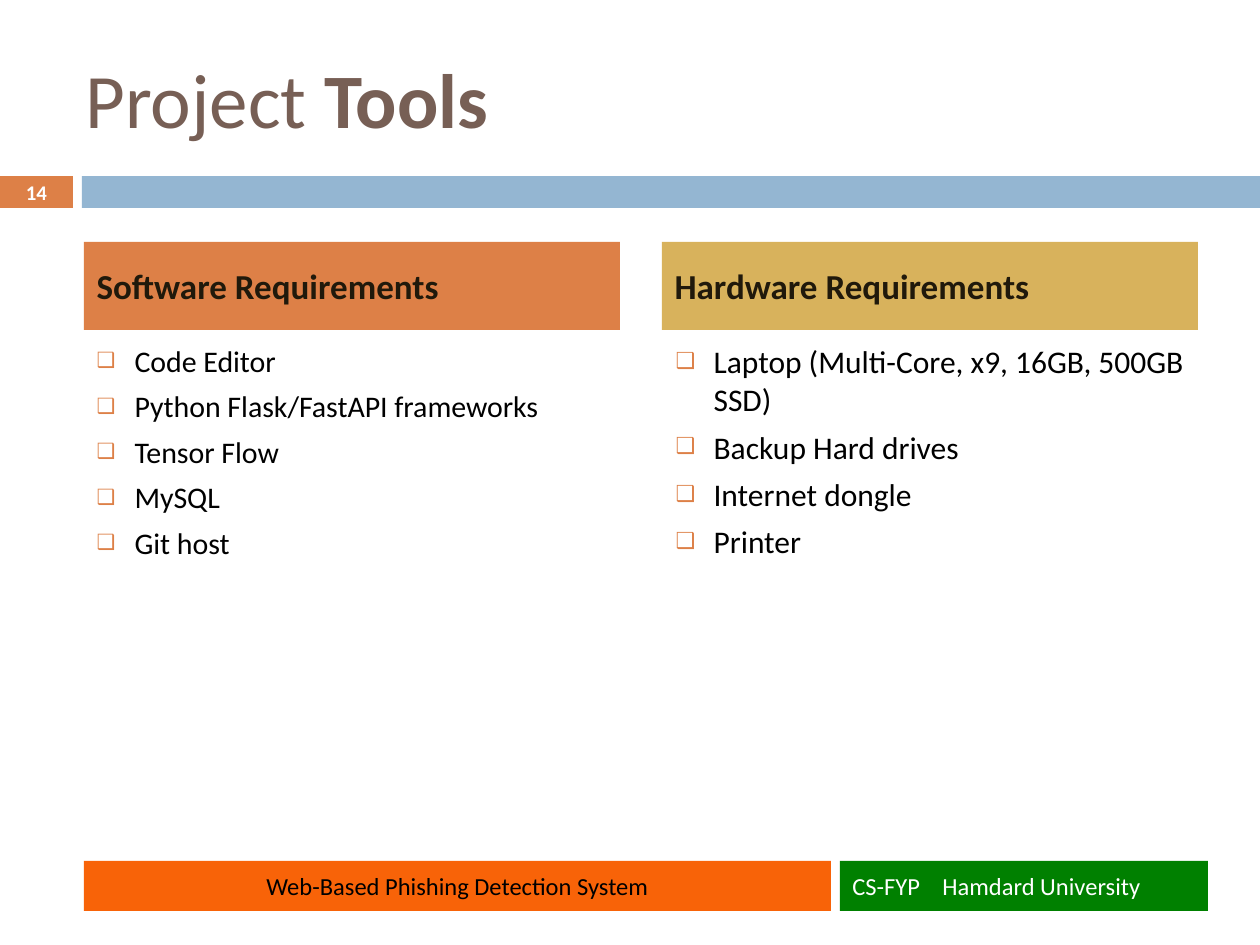
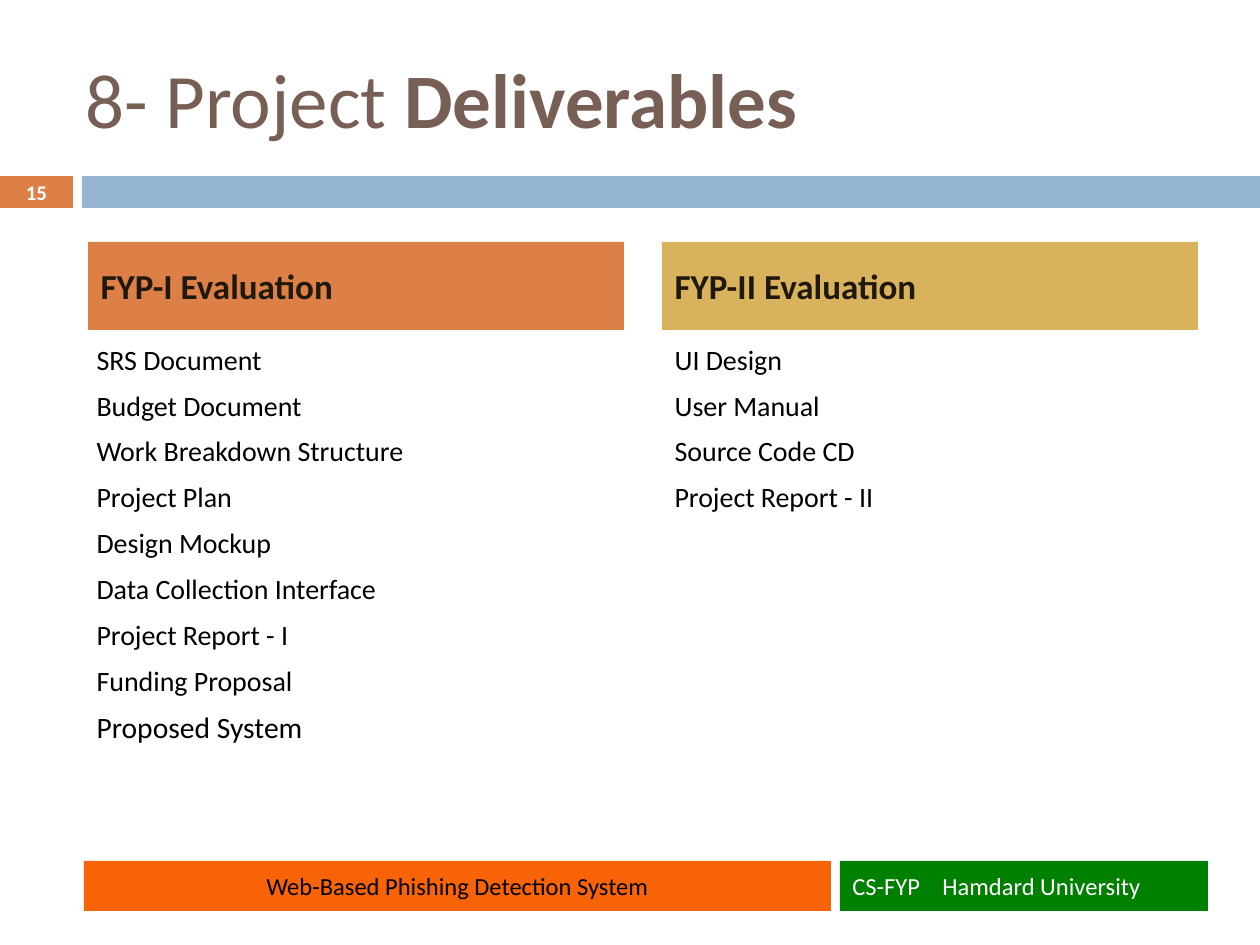
"""Build the project tools and project deliverables slides."""
from lxml import etree
from pptx import Presentation
from pptx.dml.color import RGBColor
from pptx.enum.shapes import MSO_SHAPE
from pptx.enum.text import MSO_ANCHOR, MSO_AUTO_SIZE, PP_ALIGN
from pptx.oxml.ns import qn
from pptx.util import Emu, Pt

RECT = MSO_SHAPE.RECTANGLE
TOP, MIDDLE = MSO_ANCHOR.TOP, MSO_ANCHOR.MIDDLE
LEFT, CENTER = PP_ALIGN.LEFT, PP_ALIGN.CENTER
NO_FIT = MSO_AUTO_SIZE.NONE
COMPARISON = 3 + 1
SCALE = 914400 / 126

COLORS = {
    "title": "775F55", "accent": "DD8047", "band": "94B6D2", "gold": "D8B25C",
    "heading": "20190B", "project": "F86308", "school": "008000",
    "black": "000000", "white": "FFFFFF",
}
COLUMN_W, COLUMN_X = 536, (84, 662)
HEADING_FILLS = ("accent", "gold")

SLIDES = [
    {
        "number": 14,
        "title": ("Project ", "Tools"),
        "heading_x": COLUMN_X,
        "columns": [
            ("Software Requirements", 17.1, 38,
             ["Code Editor", "Python Flask/FastAPI frameworks", "Tensor Flow",
              "MySQL", "Git host"]),
            ("Hardware Requirements", 18, 39,
             ["Laptop (Multi-Core, x9, 16GB, 500GB SSD)", "Backup Hard drives",
              "Internet dongle", "Printer"]),
        ],
    },
    {
        "number": 15,
        "title": ("8- Project ", "Deliverables"),
        "heading_x": (88, 662),
        "columns": [
            ("FYP-I Evaluation", 16, 0,
             ["SRS Document", "Budget Document", "Work Breakdown Structure",
              "Project Plan", "Design Mockup", "Data Collection Interface",
              "Project Report - I", "Funding Proposal",
              ("Proposed System", 16.9)]),
            ("FYP-II Evaluation", 16, 0,
             ["UI Design", "User Manual", "Source Code CD",
              "Project Report - II"]),
        ],
    },
]


def px(n):
    """Turn px into EMU."""
    return Emu(round(n * SCALE))


def rgb(name):
    """Look up a named colour."""
    return RGBColor.from_string(COLORS[name])


def place(sp, *box):
    """Move and size a shape in px."""
    for name, n in zip(("left", "top", "width", "height"), box):
        setattr(sp, name, px(n))


def frame(sp, anchor=MIDDLE):
    """Set up the text frame of a shape and return it."""
    tf = sp.text_frame
    for name, value in {"word_wrap": True, "auto_size": NO_FIT,
                        "vertical_anchor": anchor}.items():
        setattr(tf, name, value)
    return tf


def add_run(p, text, size, color, bold=False):
    """Add a formatted run to a paragraph."""
    r = p.add_run()
    r.text = text
    for name, value in {"name": "Calibri", "size": Pt(size), "bold": bold}.items():
        setattr(r.font, name, value)
    r.font.color.rgb = rgb(color)


def add_line(sp, text, size, color, bold=False, align=LEFT):
    """Write one centred-height line into a shape and return its paragraph."""
    p = frame(sp).paragraphs[0]
    p.alignment, p.space_before = align, Pt(0)
    add_run(p, text, size, color, bold)
    return p


def add_bar(s, box, fill):
    """Add a plain filled rectangle."""
    sp = s.shapes.add_shape(RECT, *map(px, box))
    sp.shadow.inherit = False
    sp.fill.solid()
    sp.fill.fore_color.rgb = rgb(fill)
    sp.line.fill.background()
    return sp


def set_bullet(p, indent):
    """Give a paragraph a box bullet, or none when there is no indent."""
    pPr = p._p.get_or_add_pPr()
    pPr.set("marL", str(px(indent)))
    pPr.set("indent", str(-px(38) if indent else 0))
    if not indent:
        etree.SubElement(pPr, qn("a:buNone"))
        return
    p.level = 1
    color = etree.SubElement(pPr, qn("a:buClr"))
    etree.SubElement(color, qn("a:srgbClr"), val=COLORS["accent"])
    etree.SubElement(pPr, qn("a:buSzPct"), val="70000")
    etree.SubElement(pPr, qn("a:buChar"), char="❑")


def add_title(s, plain, strong):
    """Fill the title with a plain and a bold part."""
    sp = s.shapes.title
    place(sp, 73, 38, 1124, 120)
    p = add_line(sp, plain, 44, "title")
    add_run(p, strong, 44, "title", True)


def add_heading(sp, x, text, fill):
    """Fill a column heading placeholder."""
    place(sp, x, 242, COLUMN_W, 88)
    sp.fill.solid()
    sp.fill.fore_color.rgb = rgb(fill)
    add_line(sp, text, 20, "heading", True)


def add_list(sp, x, items, size, indent):
    """Fill a column list placeholder."""
    place(sp, x, 336, COLUMN_W, 494)
    tf = frame(sp, TOP)
    for i, item in enumerate(items):
        text, item_size = item if isinstance(item, tuple) else (item, size)
        p = tf.add_paragraph() if i else tf.paragraphs[0]
        set_bullet(p, indent)
        p.space_before = Pt((5.5 if indent else 7) if i else 0)
        add_run(p, text, item_size, "black")


def add_bands(s, number):
    """Add the band under the title with the slide number."""
    add_bar(s, (0, 176, 73, 32), "accent")
    add_bar(s, (82, 176, 1178, 32), "band")
    sp = s.shapes.add_textbox(*map(px, (0, 175, 73, 34)))
    add_line(sp, str(number), 11.9, "white", True, CENTER)


def add_footer(s):
    """Add the project and school footer bars."""
    project = add_bar(s, (84, 861, 747, 50), "project")
    add_line(project, "Web-Based Phishing Detection System", 14, "black", align=CENTER)
    school = add_bar(s, (840, 861, 368, 50), "school")
    p = add_line(school, "CS-FYP\tHamdard University", 14, "white")
    tabs = etree.SubElement(p._p.get_or_add_pPr(), qn("a:tabLst"))
    etree.SubElement(tabs, qn("a:tab"), pos=str(px(90)), algn="l")


def add_slide(prs, data):
    """Add one two-column slide."""
    s = prs.slides.add_slide(prs.slide_layouts[COMPARISON])
    add_bands(s, data["number"])
    add_title(s, *data["title"])
    _, *bodies = s.placeholders
    columns = zip(bodies[::2], bodies[1::2], data["heading_x"], COLUMN_X,
                  HEADING_FILLS, data["columns"])
    for heading, body, heading_x, x, fill, (text, size, indent, items) in columns:
        add_heading(heading, heading_x, text, fill)
        add_list(body, x, items, size, indent)
    add_footer(s)


def main():
    """Build and save the slides."""
    prs = Presentation()
    prs.slide_width, prs.slide_height = px(1260), px(945)
    for data in SLIDES:
        add_slide(prs, data)
    prs.save("out.pptx")


if __name__ == "__main__":
    main()
